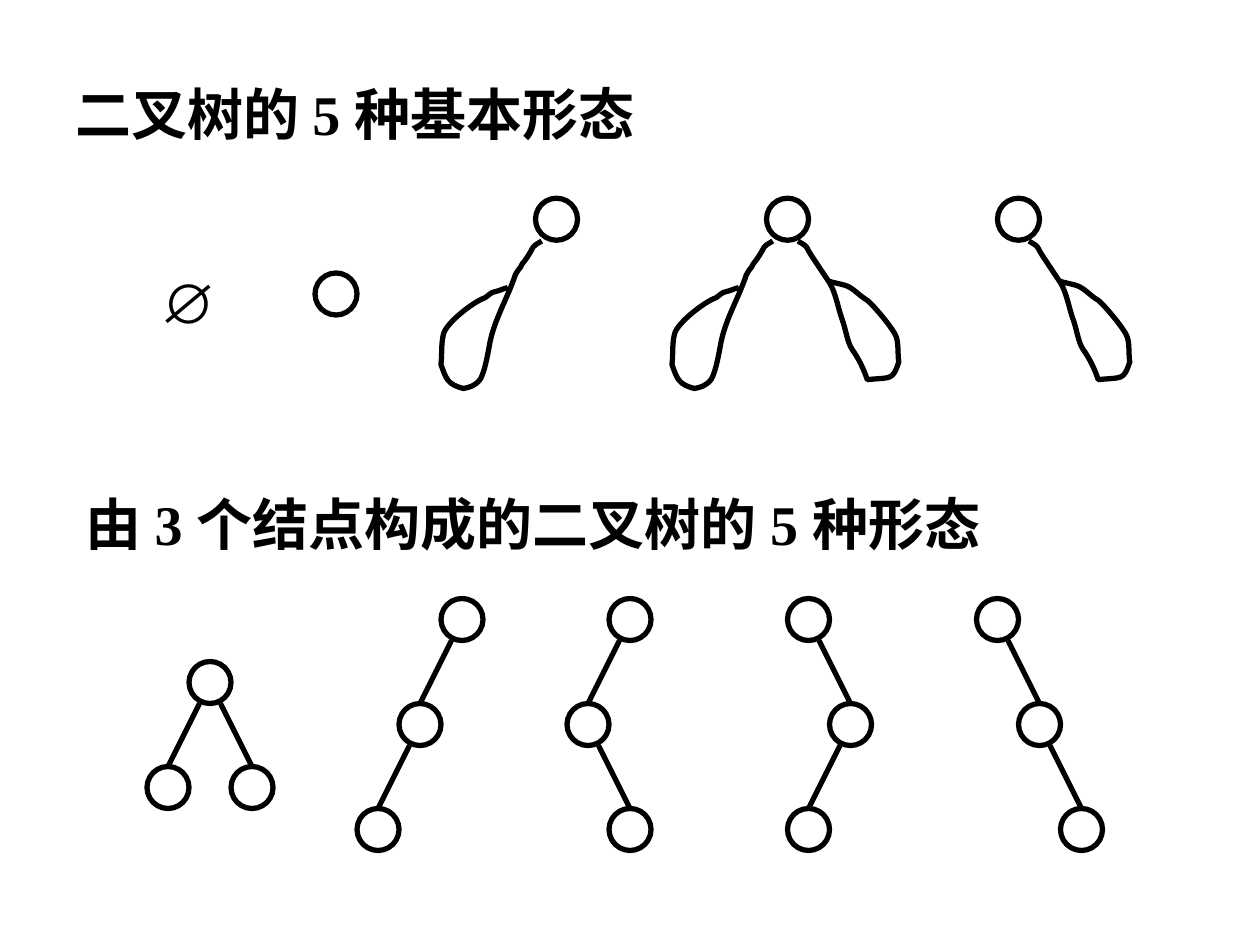
from itertools import chain

from lxml.etree import SubElement
from pptx import Presentation
from pptx.dml.color import RGBColor
from pptx.enum.shapes import MSO_CONNECTOR, MSO_SHAPE
from pptx.enum.text import PP_ALIGN
from pptx.oxml.ns import qn
from pptx.util import Pt

PX = 3048  # EMU per px, 300 px to the inch
COLORS = {"ink": "000000", "paper": "FFFFFF"}
NODE = 100  # node diameter
LEVEL = 250  # drop from a parent to its child
LEFT, RIGHT = -1, 1

# Subtree outlines: cubic segments (two controls and an end), from the start point
SUBTREES = {
    LEFT: [
        ((-30, 18), (-12, 6), (-39, 45)),
        ((-45, 51), (-48, 57), (-51, 63)),
        ((-57, 69), (-63, 81), (-63, 81)),
        ((-81, 135), (-111, 183), (-123, 240)),
        ((-126, 255), (-135, 312), (-147, 330)),
        ((-159, 345), (-171, 348), (-186, 351)),
        ((-225, 342), (-228, 327), (-240, 294)),
        ((-237, 270), (-240, 246), (-234, 222)),
        ((-228, 195), (-162, 144), (-135, 135)),
        ((-111, 117), (-126, 126), (-99, 117)),
        ((-93, 114), (-81, 111), (-81, 111)),
    ],
    RIGHT: [
        ((30, 18), (12, 6), (39, 45)),
        ((51, 63), (63, 81), (75, 99)),
        ((90, 123), (96, 162), (105, 186)),
        ((114, 210), (117, 240), (129, 258)),
        ((144, 279), (156, 303), (165, 330)),
        ((222, 324), (225, 333), (240, 288)),
        ((237, 267), (240, 246), (234, 228)),
        ((228, 210), (180, 153), (165, 141)),
        ((144, 129), (132, 111), (111, 105)),
        ((102, 102), (96, 102), (87, 99)),
        ((81, 99), (69, 93), (69, 93)),
    ],
}
SUBTREE_START = {LEFT: 15, RIGHT: 75}  # from the left edge of the root


def color(name):
    return RGBColor.from_string(COLORS[name])


def bend(shape):
    """Turn each three straight segments of a freeform into one cubic curve."""
    outline = next(shape._element.iter(qn("a:path")))
    lines = outline.findall(qn("a:lnTo"))
    for index in range(0, len(lines), 3):
        cubic = SubElement(outline, qn("a:cubicBezTo"))
        for line in lines[index:index + 3]:
            cubic.append(line[0])
            outline.remove(line)


def write_text(paragraph, text, size=32, bold=True, font="Times New Roman", ink="ink",
               align=PP_ALIGN.LEFT):
    paragraph.alignment = align
    run = paragraph.add_run()
    run.text = text
    run.font.size = Pt(size)
    run.font.bold = bold
    run.font.name = font
    run.font.color.rgb = color(ink)


class TreeSlide:
    def __init__(self, slide, line_width=3):
        self.slide = slide
        self.line_width = Pt(line_width)
        slide.background.fill.solid()
        slide.background.fill.fore_color.rgb = color("paper")

    def stroke(self, shape):
        shape.line.color.rgb = color("ink")
        shape.line.width = self.line_width

    def outline(self, shape):
        shape.shadow.inherit = False
        shape.fill.background()
        self.stroke(shape)

    def label(self, text, x, y, width, height, **text_format):
        box = self.slide.shapes.add_textbox(x * PX, y * PX, width * PX, height * PX)
        box.text_frame.word_wrap = True
        write_text(box.text_frame.paragraphs[0], text, **text_format)

    def node(self, x, y):
        self.outline(self.slide.shapes.add_shape(
            MSO_SHAPE.OVAL, x * PX, y * PX, NODE * PX, NODE * PX))

    def edge(self, x1, y1, x2, y2):
        line = self.slide.shapes.add_connector(
            MSO_CONNECTOR.STRAIGHT, x1 * PX, y1 * PX, x2 * PX, y2 * PX)
        self.stroke(line)
        SubElement(line._element.spPr, qn("a:effectLst"))

    def subtree(self, root_x, root_y, side):
        x, y = root_x + SUBTREE_START[side], root_y + 102
        builder = self.slide.shapes.build_freeform(x, y, scale=PX)
        points = chain.from_iterable(SUBTREES[side])
        builder.add_line_segments([(x + dx, y + dy) for dx, dy in points], close=False)
        shape = builder.convert_to_shape()
        bend(shape)
        self.outline(shape)

    def child(self, x, y, side):
        """Draw a child with its edge and return its position."""
        child_x, child_y = x + side * NODE, y + LEVEL
        self.node(child_x, child_y)
        middle = NODE // 2
        self.edge(x + middle + side * 25, y + NODE, child_x + middle, child_y)
        return child_x, child_y


def main():
    presentation = Presentation()
    presentation.slide_width = 3000 * PX
    presentation.slide_height = 2250 * PX
    page = TreeSlide(presentation.slides.add_slide(presentation.slide_layouts[6]))

    # Five basic forms: empty, single node, and roots with subtrees
    page.label("二叉树的 5 种基本形态", 150, 175, 1475, 192)
    page.label("∅", 350, 622, 200, 192, font="Arial", align=PP_ALIGN.CENTER)
    page.node(750, 650)
    for root_x, sides in ((1275, [LEFT]), (1825, [LEFT, RIGHT]), (2375, [RIGHT])):
        page.node(root_x, 472)
        for side in sides:
            page.subtree(root_x, 472, side)

    # Five trees of three nodes: one balanced, four chains
    page.label("由 3 个结点构成的二叉树的 5 种形态", 175, 1150, 2275, 350)
    page.node(450, 1575)
    for side in (LEFT, RIGHT):
        page.child(450, 1575, side)
    chains = ((1050, LEFT, LEFT), (1450, LEFT, RIGHT),
              (1875, RIGHT, LEFT), (2325, RIGHT, RIGHT))
    for root_x, *sides in chains:
        position = (root_x, 1425)
        page.node(*position)
        for side in sides:
            position = page.child(*position, side)

    presentation.save("out.pptx")


if __name__ == "__main__":
    main()
